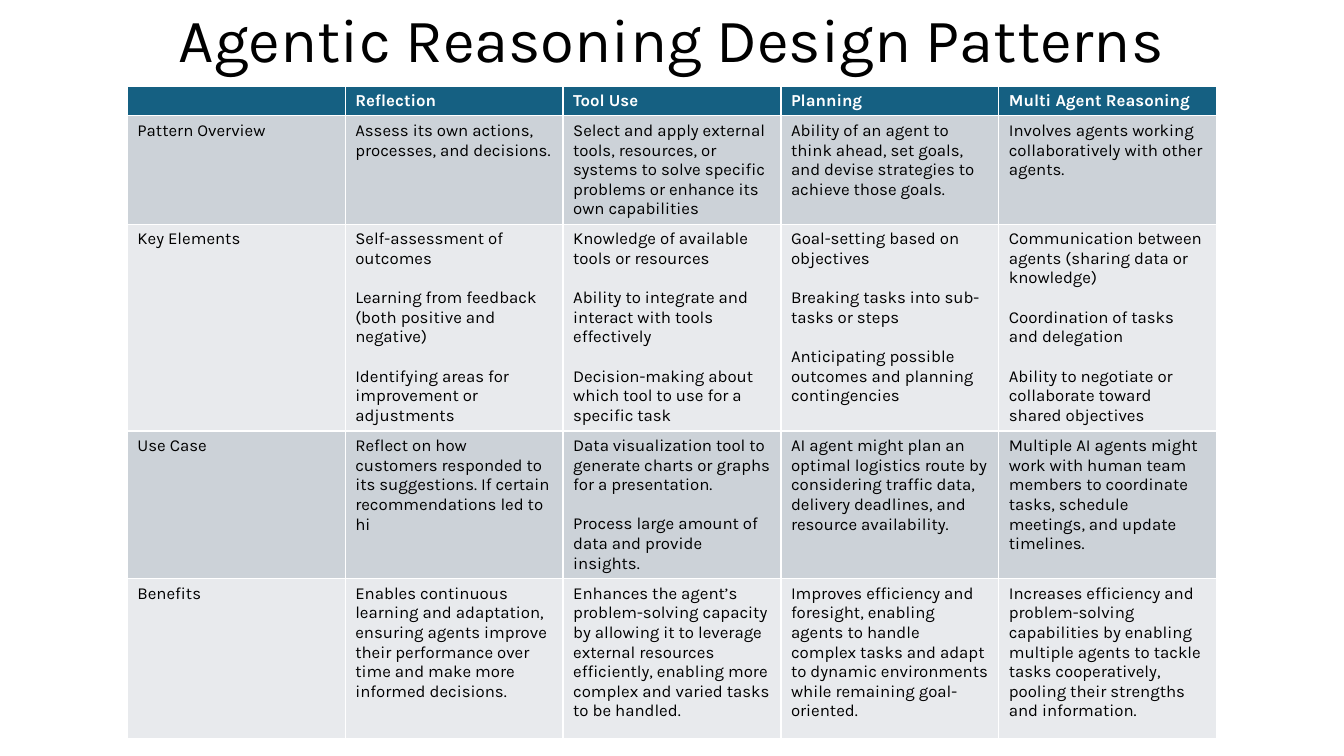
from pptx import Presentation
from pptx.dml.color import RGBColor as RGB
from pptx.enum.text import MSO_ANCHOR as Anchor, PP_ALIGN as Align
from pptx.util import Cm, Pt


def style(para, size, color, bold=False):
    font = para.font
    font.name, font.size, font.bold = "Karla", Pt(size), bold
    font.color.rgb = RGB.from_string(color)


heads = ["", "Reflection", "Tool Use", "Planning", "Multi Agent Reasoning"]
views = [
    "Pattern Overview",
    "Assess its own actions, processes, and decisions.",
    "Select and apply external tools, resources, or systems to solve specific problems or enhance its own capabilities",
    "Ability of an agent to think ahead, set goals, and devise strategies to achieve those goals.",
    "Involves agents working collaboratively with other agents.",
]
keys = [
    "Key Elements",
    "Self-assessment of outcomes\n"
    "Learning from feedback (both positive and negative)\n"
    "Identifying areas for improvement or adjustments",
    "Knowledge of available tools or resources\n"
    "Ability to integrate and interact with tools effectively\n"
    "Decision-making about which tool to use for a specific task",
    "Goal-setting based on objectives\n"
    "Breaking tasks into sub-tasks or steps\n"
    "Anticipating possible outcomes and planning contingencies",
    "Communication between agents (sharing data or knowledge)\n"
    "Coordination of tasks and delegation\n"
    "Ability to negotiate or collaborate toward shared objectives",
]
cases = [
    "Use Case",
    "Reflect on how customers responded to its suggestions. If certain recommendations led to hi",
    "Data visualization tool to generate charts or graphs for a presentation.\n"
    "Process large amount of data and provide insights.",
    "AI agent might plan an optimal logistics route by considering traffic data, "
    "delivery deadlines, and resource availability.",
    "Multiple AI agents might work with human team members to coordinate tasks, "
    "schedule meetings, and update timelines.",
]
gains = [
    "Benefits",
    "Enables continuous learning and adaptation, ensuring agents improve their performance over time "
    "and make more informed decisions.",
    "Enhances the agent’s problem-solving capacity by allowing it to leverage external resources "
    "efficiently, enabling more complex and varied tasks to be handled.",
    "Improves efficiency and foresight, enabling agents to handle complex tasks and adapt to "
    "dynamic environments while remaining goal-oriented.",
    "Increases efficiency and problem-solving capabilities by enabling multiple agents to tackle "
    "tasks cooperatively, pooling their strengths and information.",
]
rows = [heads, views, keys, cases, gains]
heights = [0.75, 2.72, 5.21, 3.72, 4.04]
fills = ["156082", "CCD2D8", "E8EAED", "CCD2D8", "E8EAED"]

deck = Presentation()
deck.slide_width, deck.slide_height = Cm(33.87), Cm(19.05)
slide = deck.slides.add_slide(deck.slide_layouts[5])

title = slide.shapes.title
title.left, title.top, title.width, title.height = Cm(2.33), Cm(0), Cm(29.21), Cm(2.14)
title.text_frame.text = "Agentic Reasoning Design Patterns"
title.text_frame.vertical_anchor = Anchor.MIDDLE
para = title.text_frame.paragraphs[0]
para.alignment = Align.CENTER
para.line_spacing = 0.9
style(para, 44, "000000")

frame = slide.shapes.add_table(5, 5, Cm(3.21), Cm(2.17), Cm(27.45), Cm(sum(heights)))
table = frame.table
for col in table.columns:
    col.width = Cm(5.49)

for r, (texts, height, fill) in enumerate(zip(rows, heights, fills)):
    table.rows[r].height = Cm(height)
    for c, text in enumerate(texts):
        cell = table.cell(r, c)
        cell.fill.solid()
        cell.fill.fore_color.rgb = RGB.from_string(fill)
        cell.text = text
        for n, para in enumerate(cell.text_frame.paragraphs):
            style(para, 12, "000000" if r else "FFFFFF", r == 0)
            if n:
                para.space_before = Pt(14)
            if not text:
                para._p.get_or_add_endParaRPr().set("sz", "1200")

deck.save("out.pptx")
